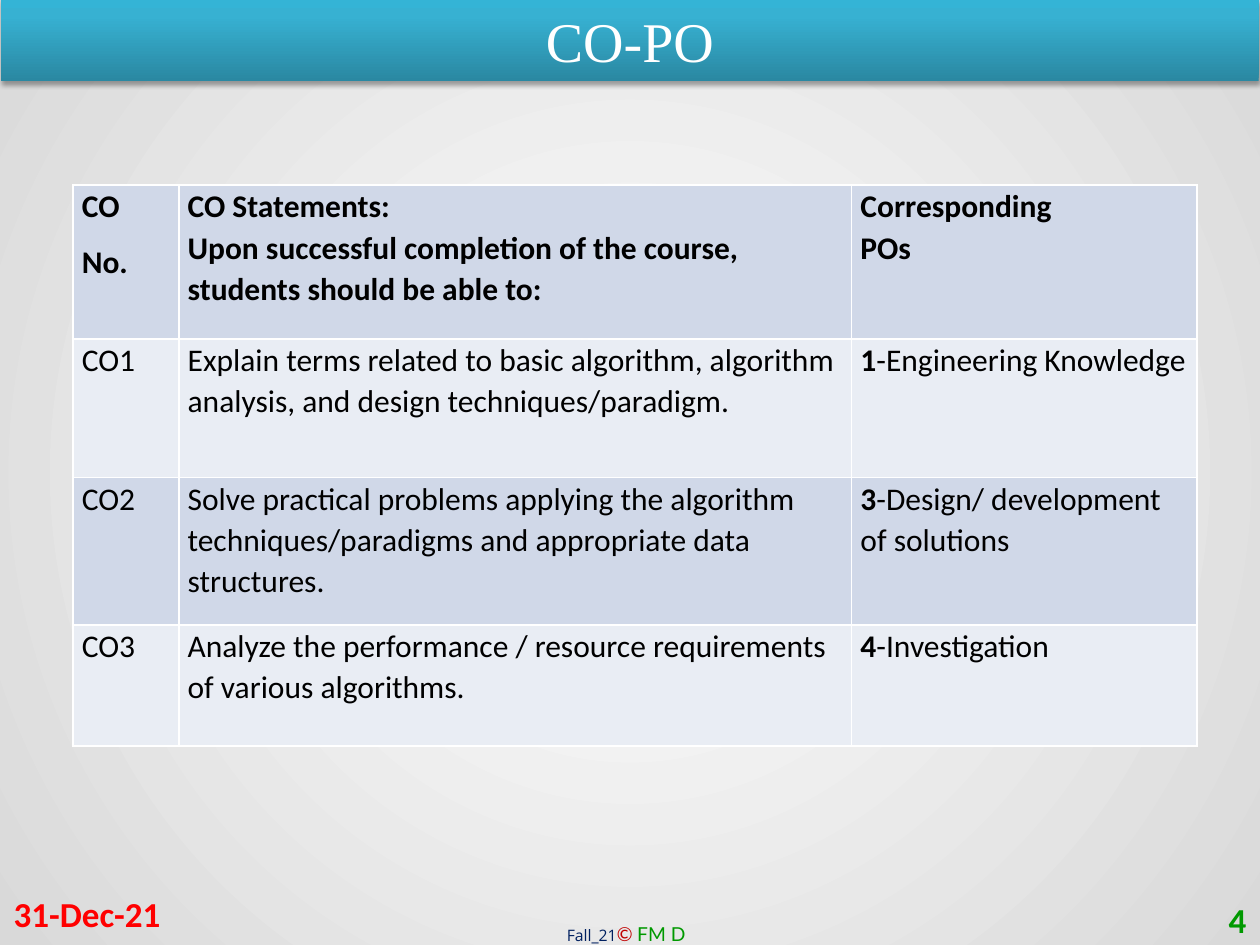
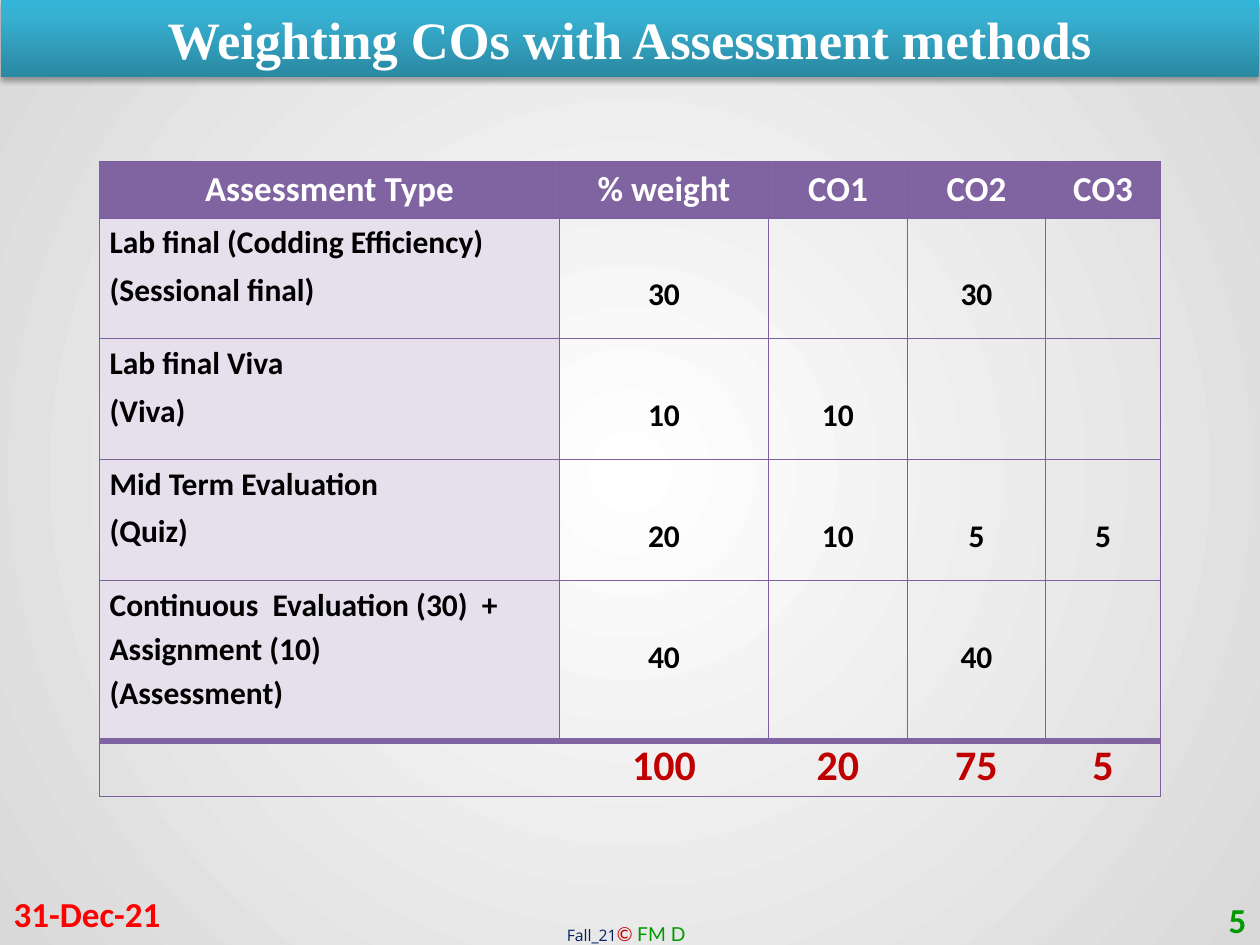
from lxml import etree
from pptx import Presentation
from pptx.dml.color import RGBColor
from pptx.enum.text import MSO_ANCHOR as Anchor, MSO_AUTO_SIZE as AutoSize, PP_ALIGN as Align
from pptx.oxml import parse_xml
from pptx.oxml.ns import nsdecls, qn
from pptx.util import Inches, Pt

COLORS = {
    "white": "FFFFFF", "black": "000000", "backdrop": "D9D9D9",
    "band_dark": "2A88A2", "band_mid": "37B1D2", "band_light": "34B4D6",
    "red": "FF0000", "green": "009900", "navy": "002060", "crimson": "C00000",
    "row_dark": "D0D8E8", "row_light": "E9EDF4",
    "purple": "8064A2", "purple_line": "7D60A0", "lilac": "E6E0EC",
}
BODY_FONT = "Calibri"
TITLE_FONT = "Times New Roman"
PLAIN_TABLE = "{2D5ABB26-0587-4C30-8999-92F81FD0307C}"
DATE = "31-Dec-21"
FOOTER = [("Fall_21", 9, "Open Sans", "navy", False),
          ("© ", 11, "Lato", "crimson", True),
          ("FM D", 11, "Lato", "green", False)]

OUTCOMES = [
    ("CO\nNo.", "CO Statements:\nUpon successful completion of the course, "
     "students should be able to:", "Corresponding\nPOs"),
    ("CO1", "Explain terms related to basic algorithm, algorithm analysis, "
     "and design techniques/paradigm.", "1-Engineering Knowledge"),
    ("CO2", "Solve practical problems applying the algorithm techniques/paradigms "
     "and appropriate data structures.", "3-Design/ development of solutions"),
    ("CO3", "Analyze the performance / resource requirements of various algorithms.",
     "4-Investigation"),
]
WEIGHTS = [
    ("Assessment Type", "% weight", "CO1", "CO2", "CO3"),
    ("Lab final (Codding Efficiency)\n(Sessional final)", "30", "", "30", ""),
    ("Lab final Viva\n(Viva)", "10", "10", "", ""),
    ("Mid Term Evaluation\n(Quiz)", "20", "10", "5", "5"),
    ("Continuous  Evaluation (30)  + Assignment (10)\n(Assessment)", "40", "", "40", ""),
    ("", "100", "20", "75", "5"),
]


def rgb(name):
    return RGBColor.from_string(COLORS[name])


def format_run(run, size, color, bold=False, font=BODY_FONT, italic=False):
    run.font.size = Pt(size)
    run.font.name = font
    run.font.bold = bold
    run.font.italic = italic
    run.font.color.rgb = rgb(color)


def add_run(paragraph, text, *style, **options):
    run = paragraph.add_run()
    run.text = text
    format_run(run, *style, **options)


def set_gradient(fill, owner, stops, direction):
    fill.gradient()
    gradient = owner.find(".//" + qn("a:gradFill"))
    for child in list(gradient):
        gradient.remove(child)
    stop_list = etree.SubElement(gradient, qn("a:gsLst"))
    for position, color in stops:
        stop = etree.SubElement(stop_list, qn("a:gs"), pos=str(position * 1000))
        etree.SubElement(stop, qn("a:srgbClr"), val=COLORS[color])
    gradient.append(parse_xml(direction))


def set_background(master):
    set_gradient(
        master.background.fill, master.element, [(0, "white"), (100, "backdrop")],
        f'<a:path {nsdecls("a")} path="circle">'
        '<a:fillToRect l="50000" t="50000" r="50000" b="50000"/></a:path>')


def add_title_band(slide, text, height, size, bold):
    title = slide.shapes.title
    title.left, title.top = Inches(0.01), Inches(0)
    title.width, title.height = Inches(9.98), Inches(height)
    set_gradient(title.fill, title.element,
                 [(0, "band_dark"), (80, "band_mid"), (100, "band_light")],
                 f'<a:lin {nsdecls("a")} ang="16200000" scaled="0"/>')
    title.shadow.inherit = False
    title.element.spPr.find(qn("a:effectLst")).append(parse_xml(
        f'<a:outerShdw {nsdecls("a")} blurRad="{Pt(3.1)}" dist="{Pt(1.8)}" dir="5400000" '
        f'rotWithShape="0"><a:srgbClr val="{COLORS["black"]}"><a:alpha val="35000"/>'
        '</a:srgbClr></a:outerShdw>'))
    frame = title.text_frame
    frame.text = text
    frame.auto_size = AutoSize.NONE
    frame.vertical_anchor = Anchor.MIDDLE
    paragraph = frame.paragraphs[0]
    paragraph.alignment = Align.CENTER
    format_run(paragraph.runs[0], size, "white", bold, TITLE_FONT)


def add_text_box(slide, left, top, width, height, alignment=Align.LEFT, anchor=Anchor.MIDDLE):
    box = slide.shapes.add_textbox(Inches(left), Inches(top), Inches(width), Inches(height))
    frame = box.text_frame
    frame.word_wrap = True
    frame.vertical_anchor = anchor
    frame.paragraphs[0].alignment = alignment
    return frame.paragraphs[0]


def add_footer(slide, number):
    credit = add_text_box(slide, 4.4, 7.27, 1.5, 0.23, anchor=Anchor.TOP)
    for text, size, font, color, italic in FOOTER:
        add_run(credit, text, size, color, font=font, italic=italic)
    date = add_text_box(slide, 0.01, 7.05, 2.33, 0.4)
    add_run(date, DATE, 20, "red", True)
    page = add_text_box(slide, 7.66, 7.1, 2.33, 0.4, Align.RIGHT)
    add_run(page, str(number), 20, "green", True)


def set_borders(cell, borders):
    properties = cell._tc.get_or_add_tcPr()
    for side in "LRTB":
        if side in borders:
            color, width = borders[side]
            properties.append(parse_xml(
                f'<a:ln{side} {nsdecls("a")} w="{Pt(width)}"><a:solidFill>'
                f'<a:srgbClr val="{COLORS[color]}"/></a:solidFill></a:ln{side}>'))


def set_fill(cell, color):
    if color:
        cell.fill.solid()
        cell.fill.fore_color.rgb = rgb(color)
    else:
        cell.fill.background()


def add_plain_table(slide, left, top, widths, heights):
    frame = slide.shapes.add_table(len(heights), len(widths), Inches(left), Inches(top),
                                   Inches(sum(widths)), Inches(sum(heights)))
    table = frame.table
    table.first_row = table.horz_banding = False
    table._tbl.tblPr.find(qn("a:tableStyleId")).text = PLAIN_TABLE
    for column, width in zip(table.columns, widths):
        column.width = Inches(width)
    for row, height in zip(table.rows, heights):
        row.height = Inches(height)
    return table


def fill_cell(cell, text, borders, fill, side_margin):
    set_borders(cell, borders)
    set_fill(cell, fill)
    cell.margin_left = cell.margin_right = Inches(side_margin)
    cell.margin_top = cell.margin_bottom = 0
    cell.text_frame.text = text
    return cell.text_frame.paragraphs


def add_outcomes_table(slide, left, top):
    table = add_plain_table(slide, left, top, [0.84, 5.34, 2.74], [1.22, 1.1, 1.17, 0.96])
    borders = dict.fromkeys("LRTB", ("white", 1))
    for row, texts in enumerate(OUTCOMES):
        for column, text in enumerate(texts):
            fill = "row_light" if row % 2 else "row_dark"
            for paragraph in fill_cell(table.cell(row, column), text, borders, fill, 0.07):
                paragraph.line_spacing = 1.07
                paragraph.space_after = Pt(8 if column == 0 else 0)
                if row and column == 2:
                    number, outcome = paragraph.text[:1], paragraph.text[1:]
                    paragraph.text = number
                    add_run(paragraph, outcome, 18, "black")
                    format_run(paragraph.runs[0], 18, "black", True)
                else:
                    format_run(paragraph.runs[0], 18, "black", row == 0)


def weight_borders(row, column, total_row, last_column):
    borders = dict.fromkeys("LRTB", ("purple_line", 0.75))
    if row == total_row:
        borders["T"] = ("purple", 4)
        if column > 0:
            del borders["L"]
        if column < last_column:
            del borders["R"]
    if row == total_row - 1:
        borders["B"] = ("purple", 4)
    return borders


def add_weights_table(slide, left, top):
    table = add_plain_table(slide, left, top, [3.65, 1.66, 1.1, 1.1, 0.91],
                            [0.45, 0.96, 0.96, 0.96, 1.27, 0.44])
    total_row, last_column = len(WEIGHTS) - 1, len(WEIGHTS[0]) - 1
    for row, texts in enumerate(WEIGHTS):
        size, color = {0: (20, "white"), total_row: (24, "crimson")}.get(row, (18, "black"))
        in_body = 0 < row < total_row
        for column, text in enumerate(texts):
            is_label = in_body and column == 0
            fill = "purple" if row == 0 else "lilac" if is_label else None
            borders = weight_borders(row, column, total_row, last_column)
            cell = table.cell(row, column)
            paragraphs = fill_cell(cell, text, borders, fill, 0.08 if is_label else 0)
            if row == 0:
                cell.vertical_anchor = Anchor.MIDDLE
            for paragraph in paragraphs:
                paragraph.alignment = Align.LEFT if is_label else Align.CENTER
                if is_label:
                    paragraph.line_spacing = 1.15
                    paragraph.space_before = Pt(0 if row == total_row - 1 else 1.8)
                elif in_body and text:
                    paragraph.line_spacing = 2.5
                for run in paragraph.runs:
                    format_run(run, size, color, True)


def add_slide(presentation, number, title, band_height, title_size, bold):
    slide = presentation.slides.add_slide(presentation.slide_layouts[5])
    add_title_band(slide, title, band_height, title_size, bold)
    add_footer(slide, number)
    return slide


def main():
    presentation = Presentation()
    presentation.slide_width, presentation.slide_height = Inches(10), Inches(7.5)
    set_background(presentation.slide_master)
    outcomes = add_slide(presentation, 4, "CO-PO", 0.64, 32, False)
    add_outcomes_table(outcomes, 0.58, 1.47)
    weights = add_slide(presentation, 5, "Weighting COs with Assessment methods", 0.61, 30, True)
    add_weights_table(weights, 0.79, 1.28)
    presentation.save("out.pptx")


if __name__ == "__main__":
    main()
